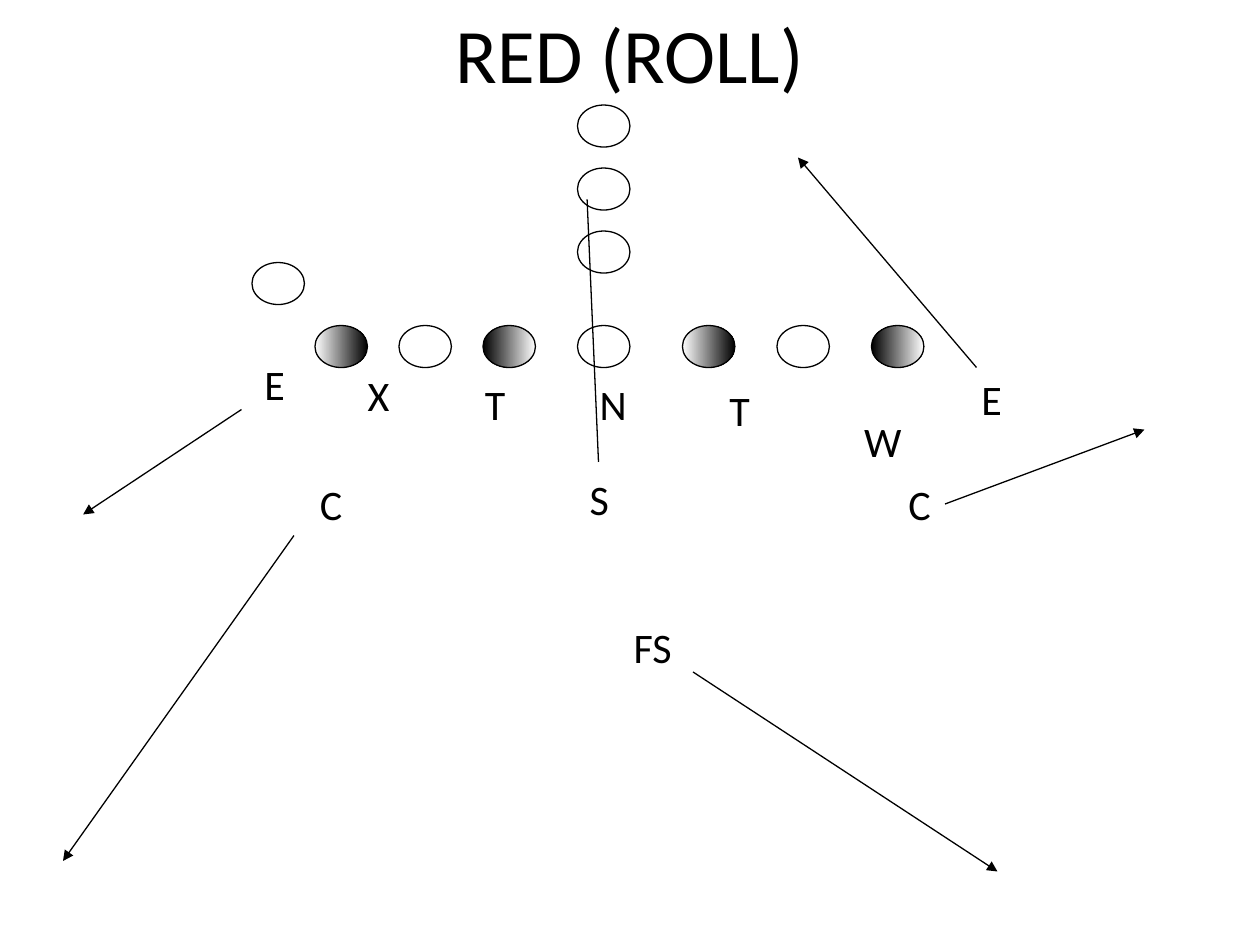
import pptx
import pptx.dml.color
import pptx.enum.shapes
import pptx.enum.text
import pptx.oxml
import pptx.oxml.ns
import pptx.util

Pt = pptx.util.Pt
BLACK, WHITE = "000000", "FFFFFF"
PLAYER_WIDTH, PLAYER_HEIGHT = 30, 24
LINE_TOP = 186
BACKFIELD_LEFT = 330

# Offensive line: left edge, fill colours from left to right
LINEMEN = [
    (180, (WHITE, BLACK)),
    (228, (WHITE,)),
    (276, (BLACK, WHITE)),
    (BACKFIELD_LEFT, (WHITE,)),
    (390, (WHITE, BLACK)),
    (444, (WHITE,)),
    (498, (BLACK, WHITE)),
]

# Defenders: letter, left, top, width
DEFENDERS = [
    ("N", 335.5, 213, 29.5),
    ("T", 270, 213, 26),
    ("T", 409.7, 216, 26),
    ("W", 486.7, 234, 35.3),
    ("E", 553.7, 210, 26),
    ("X", 203, 207.4, 26.6),
    ("E", 144, 201.6, 26),
    ("C", 175.7, 270, 27.4),
    ("S", 329.8, 267, 25.2),
    ("C", 512, 270, 27.4),
    ("FS", 355, 351.4, 36),
]

# Movements: start, end, arrowhead
ROUTES = [
    ((138, 234), (47.5, 294), True),
    ((168, 306), (36, 492), True),
    ((396, 384), (570, 498), True),
    ((342, 264), (335.5, 114), False),
    ((558, 210), (456, 90), True),
    ((540, 288), (654, 245.5), True),
]


def color(code):
    return pptx.dml.color.RGBColor.from_string(code)


def set_outline(item):
    item.line.color.rgb = color(BLACK)
    item.line.width = Pt(0.75)


def add_text(page, words, left, top, width, height, size, title=False):
    box = page.shapes.add_textbox(Pt(left), Pt(top), Pt(width), Pt(height))
    frame = box.text_frame
    frame.word_wrap = title
    para = frame.paragraphs[0]
    if title:
        para.alignment = pptx.enum.text.PP_ALIGN.CENTER
    else:
        frame.auto_size = pptx.enum.text.MSO_AUTO_SIZE.SHAPE_TO_FIT_TEXT
    span = para.add_run()
    span.text = words
    span.font.name = "Calibri"
    span.font.size = Pt(size)
    span.font.color.rgb = color(BLACK)


def add_player(page, left, top, colors=(WHITE,)):
    player = page.shapes.add_shape(
        pptx.enum.shapes.MSO_SHAPE.OVAL,
        Pt(left), Pt(top), Pt(PLAYER_WIDTH), Pt(PLAYER_HEIGHT))
    player.shadow.inherit = False
    if len(colors) == 1:
        player.fill.solid()
        player.fill.fore_color.rgb = color(colors[0])
    else:
        player.fill.gradient()
        player.fill.gradient_angle = 0
        for stop, code in zip(player.fill.gradient_stops, colors):
            stop.color.rgb = color(code)
    set_outline(player)


def add_route(page, start, end, arrow):
    route = page.shapes.add_connector(
        pptx.enum.shapes.MSO_CONNECTOR.STRAIGHT,
        *(Pt(value) for value in start + end))
    set_outline(route)
    qn = pptx.oxml.ns.qn
    properties = route._element.spPr
    if arrow:
        tail = properties.find(qn("a:ln")).makeelement(
            qn("a:tailEnd"), {"type": "triangle"})
        properties.find(qn("a:ln")).append(tail)
    properties.append(properties.makeelement(qn("a:effectLst"), {}))


def main():
    deck = pptx.Presentation()
    deck.slide_width, deck.slide_height = Pt(720), Pt(540)
    page = deck.slides.add_slide(deck.slide_layouts[6])

    # Title
    add_text(page, "RED (ROLL)", 54, 0, 612, 60, 44, title=True)

    # Offense: backfield, line and wing
    for top in (60, 96, 132):
        add_player(page, BACKFIELD_LEFT, top)
    for left, colors in LINEMEN:
        add_player(page, left, LINE_TOP, colors)
    add_player(page, 144, 150)

    # Defense and its movements
    for letter, left, top, width in DEFENDERS:
        add_text(page, letter, left, top, width, 36, 24)
    for start, end, arrow in ROUTES:
        add_route(page, start, end, arrow)

    deck.save("out.pptx")


if __name__ == "__main__":
    main()
